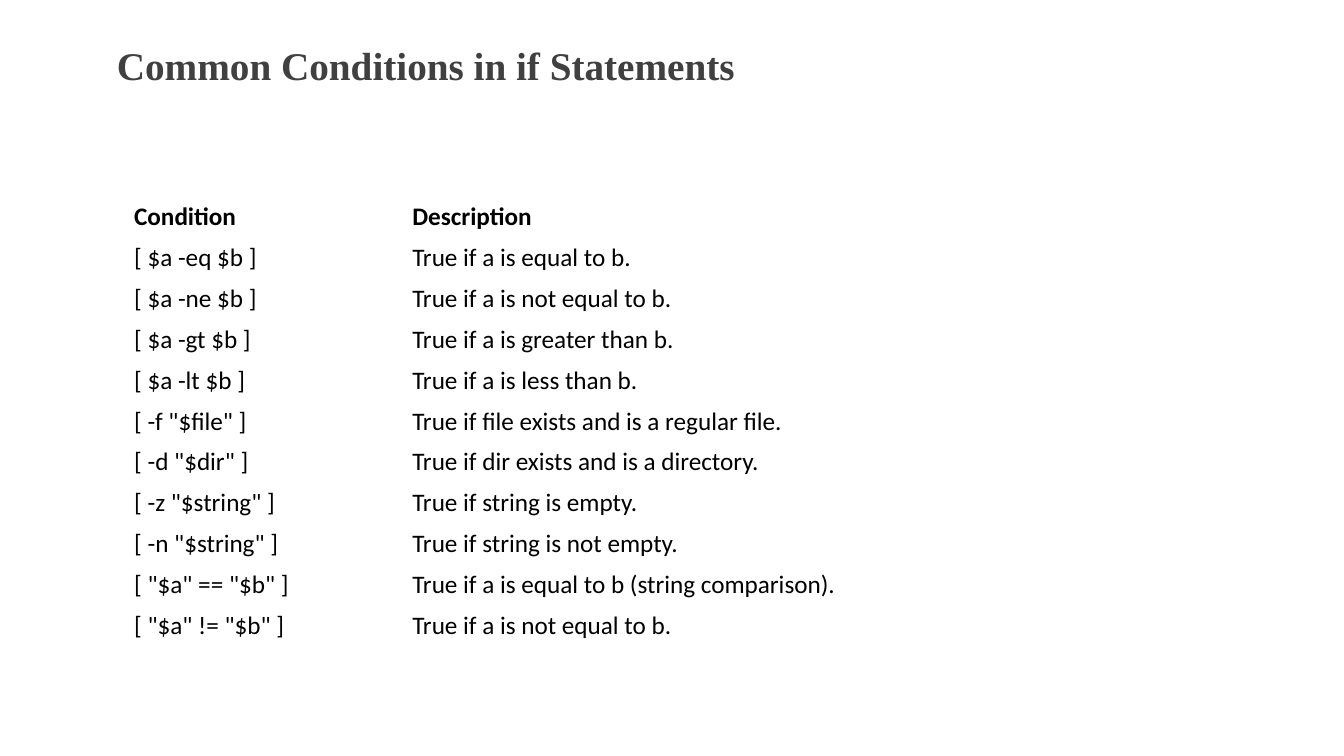
from pptx import Presentation
from pptx import util as u
from pptx.dml.color import RGBColor
from pptx.enum import text

BLACK = RGBColor(0x00, 0x00, 0x00)
DARK_GRAY = RGBColor(0x40, 0x40, 0x40)

TITLE = "Common Conditions in if Statements"
CONDITIONS = [
    ("Condition", "Description"),
    ("[ $a -eq $b ]", "True if a is equal to b."),
    ("[ $a -ne $b ]", "True if a is not equal to b."),
    ("[ $a -gt $b ]", "True if a is greater than b."),
    ("[ $a -lt $b ]", "True if a is less than b."),
    ('[ -f "$file" ]', "True if file exists and is a regular file."),
    ('[ -d "$dir" ]', "True if dir exists and is a directory."),
    ('[ -z "$string" ]', "True if string is empty."),
    ('[ -n "$string" ]', "True if string is not empty."),
    ('[ "$a" == "$b" ]', "True if a is equal to b (string comparison)."),
    ('[ "$a" != "$b" ]', "True if a is not equal to b."),
]


def format_paragraph(paragraph, font_name, size, color, bold):
    paragraph.alignment = text.PP_ALIGN.LEFT
    for run in paragraph.runs:
        run.font.name = font_name
        run.font.size = u.Pt(size)
        run.font.color.rgb = color
        run.font.bold = bold


def add_title(slide, left, top, width, height):
    title = slide.shapes.title
    title.left, title.top = u.Pt(left), u.Pt(top)
    title.width, title.height = u.Pt(width), u.Pt(height)
    text_frame = title.text_frame
    text_frame.text = TITLE
    text_frame.word_wrap = False
    text_frame.auto_size = text.MSO_AUTO_SIZE.NONE
    text_frame.vertical_anchor = text.MSO_ANCHOR.TOP
    text_frame.margin_top = u.Pt(5)
    format_paragraph(text_frame.paragraphs[0], "Times New Roman", 28, DARK_GRAY, True)


def add_condition_table(slide, left, top, width, height):
    row_count = len(CONDITIONS)
    frame = slide.shapes.add_table(
        row_count, 2, u.Pt(left), u.Pt(top), u.Pt(width), u.Pt(height))
    table = frame.table
    table.first_row = False
    table.horz_banding = False

    # Narrow condition column, the rest for the description
    condition_width = 198.7
    table.columns[0].width = u.Pt(condition_width)
    table.columns[1].width = u.Pt(width - condition_width)

    for row_index, row_texts in enumerate(CONDITIONS):
        table.rows[row_index].height = u.Pt(height / row_count)
        for column_index, cell_text in enumerate(row_texts):
            cell = table.cell(row_index, column_index)
            cell.fill.background()
            cell.vertical_anchor = text.MSO_ANCHOR.MIDDLE
            cell.text_frame.text = cell_text
            format_paragraph(cell.text_frame.paragraphs[0], "Calibri", 18, BLACK,
                             row_index == 0)


def main():
    presentation = Presentation()
    presentation.slide_width = u.Pt(960)
    presentation.slide_height = u.Pt(540)
    title_only = presentation.slide_layouts[5]
    slide = presentation.slides.add_slide(title_only)

    # Heading
    add_title(slide, 76.3, 24.5, 461.5, 63.4)
    # Conditions and their meaning
    add_condition_table(slide, 88.6, 140.4, 717.1, 321.2)

    presentation.save("out.pptx")


if __name__ == "__main__":
    main()
